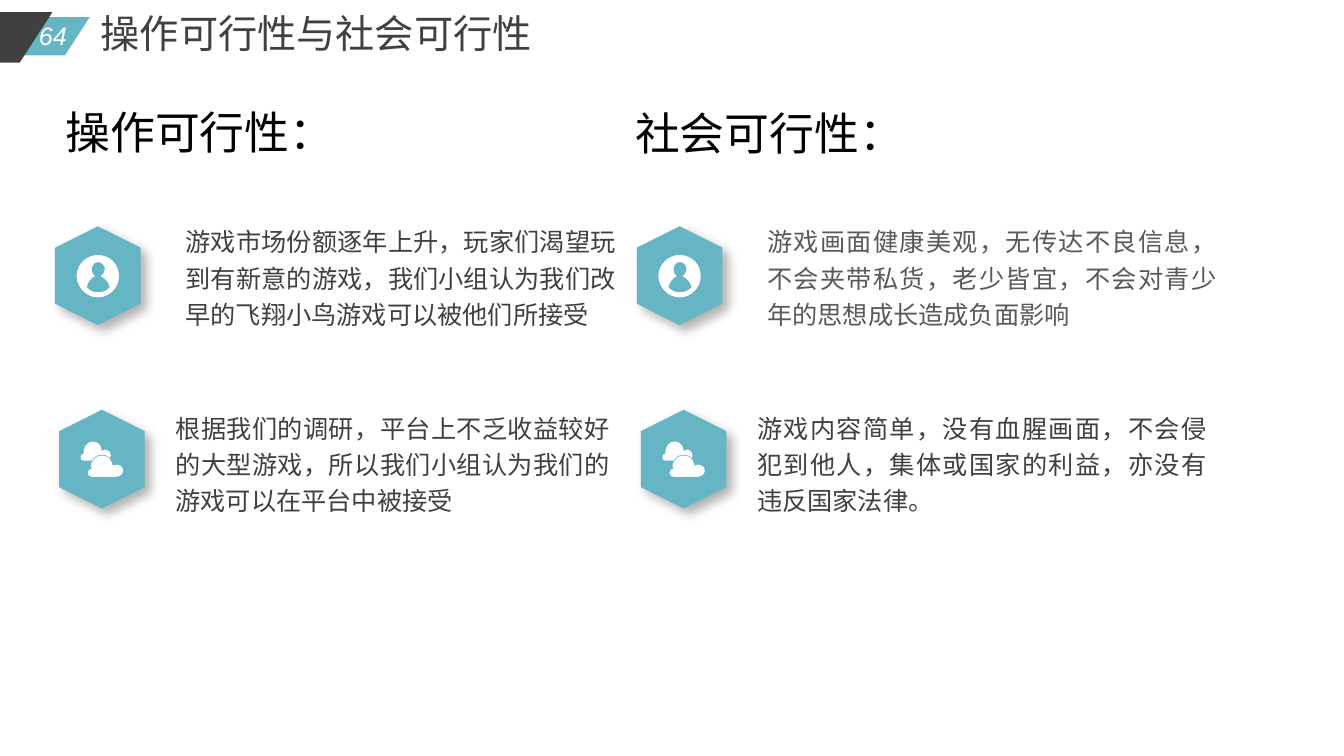
from lxml.etree import SubElement
from pptx import Presentation
from pptx.dml.color import RGBColor
from pptx.enum.shapes import MSO_SHAPE
from pptx.enum.text import MSO_ANCHOR, PP_ALIGN
from pptx.oxml import parse_xml
from pptx.oxml.ns import nsdecls, qn
from pptx.util import Inches, Pt

TEAL, DARK, GRAY, WHITE, BLACK = "66B5C4", "404040", "595959", "FFFFFF", "000000"
CJK = "Noto Sans CJK SC"

SHADOW = (
    f'<a:effectLst {nsdecls("a")}><a:outerShdw blurRad="101600" dist="76200" '
    'dir="2700000" algn="tl" rotWithShape="0"><a:srgbClr val="000000">'
    '<a:alpha val="30000"/></a:srgbClr></a:outerShdw></a:effectLst>'
)

PERSON = [
    [(21, 0), (10, 0, 0, 9, 0, 21), (0, 32, 10, 42, 21, 42),
     (33, 42, 42, 32, 42, 21), (42, 9, 33, 0, 21, 0)],
    [(32, 33), (29, 36, 25, 37, 21, 37), (17, 37, 14, 36, 11, 33),
     (10, 33, 10, 32, 10, 32), (11, 27, 14, 23, 18, 21), (16, 20, 15, 17, 15, 14),
     (15, 10, 18, 7, 21, 7), (25, 7, 28, 10, 28, 14), (28, 17, 26, 20, 24, 21),
     (28, 23, 32, 27, 33, 32), (33, 32, 33, 33, 32, 33)],
]
CLOUDS = [
    [(21, 14), (24, 14, 27, 15, 29, 17), (30, 19, 31, 21, 32, 24),
     (33, 23, 34, 23, 35, 23), (39, 23, 42, 25, 42, 29), (42, 32, 39, 35, 35, 35),
     (11, 35), (9, 35, 7, 33, 7, 31), (7, 29, 9, 27, 11, 27),
     (11, 26, 10, 25, 10, 24), (10, 22, 11, 21, 12, 19), (14, 16, 17, 14, 21, 14)],
    [(12, 0), (17, 0, 21, 4, 21, 10), (22, 9, 23, 8, 25, 8),
     (28, 8, 30, 11, 30, 14), (30, 15, 30, 15, 29, 16), (27, 14, 24, 13, 21, 13),
     (17, 13, 13, 15, 11, 19), (3, 19), (1, 19, 0, 18, 0, 16),
     (0, 14, 1, 12, 3, 12), (3, 12, 3, 11, 3, 10), (3, 5, 7, 0, 12, 0)],
]


def paint(sp, color):
    sp.shadow.inherit = False
    sp.fill.solid()
    sp.fill.fore_color.rgb = RGBColor.from_string(color)
    sp.line.fill.background()


def write(sp, text, size, color, font=CJK, wrap=True, align=PP_ALIGN.LEFT):
    tf = sp.text_frame
    tf.word_wrap = wrap
    tf.vertical_anchor = MSO_ANCHOR.TOP
    p = tf.paragraphs[0]
    p.alignment = align
    r = p.add_run()
    r.text = text
    r.font.size = Pt(size)
    r.font.color.rgb = RGBColor.from_string(color)
    r.font.name = font
    SubElement(r.font._element, qn("a:ea")).set("typeface", CJK)
    return p


prs = Presentation()
prs.slide_width, prs.slide_height = Inches(13.33), Inches(7.5)
s = prs.slides.add_slide(prs.slide_layouts[5])

title = s.shapes.title
title.left, title.top = Inches(0.9), Inches(0.04)
title.width, title.height = Inches(4.51), Inches(0.57)
write(title, "操作可行性与社会可行性", 28, DARK, wrap=False)

for x, y, w, h, color in [(-1.1, 0.17, 1.99, 0.38, TEAL), (-2.08, 0.12, 2.6, 0.5, DARK)]:
    sp = s.shapes.add_shape(MSO_SHAPE.PARALLELOGRAM, Inches(x), Inches(y), Inches(w), Inches(h))
    sp.adjustments[0] = 0.65
    sp.rotation = 180
    paint(sp, color)

number = s.shapes.add_textbox(Inches(0.27), Inches(0.15), Inches(0.51), Inches(0.4))
p = write(number, "64", 18, WHITE, "Arial", False, PP_ALIGN.CENTER)
p.runs[0].font.italic = True

columns = [
    (0, 0.55, 0.99, "操作可行性：", [
        ("游戏市场份额逐年上升，玩家们渴望玩到有新意的游戏，我们小组认为我们改早的飞翔小鸟游戏可以被他们所接受", DARK, 4.27),
        ("根据我们的调研，平台上不乏收益较好的大型游戏，所以我们小组认为我们的游戏可以在平台中被接受", DARK, 4.31)]),
    (5.77, 6.2, 1, "社会可行性：", [
        ("游戏画面健康美观，无传达不良信息，不会夹带私货，老少皆宜，不会对青少年的思想成长造成负面影响", GRAY, 4.46),
        ("游戏内容简单，没有血腥画面，不会侵犯到他人，集体或国家的利益，亦没有违反国家法律。", DARK, 4.46)]),
]
rows = [
    (0.48, 2.31, 0.76, 2.53, PERSON, 1.84, 2.19),
    (0.52, 4.13, 0.8, 4.38, CLOUDS, 1.74, 4.04),
]

for dx, head_x, head_y, heading, texts in columns:
    tb = s.shapes.add_textbox(Inches(head_x), Inches(head_y), Inches(3.71), Inches(0.64))
    write(tb, heading, 32, BLACK, "Arial")

    for (hex_x, hex_y, icon_x, icon_y, icon, text_x, text_y), (text, color, text_w) in zip(rows, texts):
        hexagon = s.shapes.add_shape(MSO_SHAPE.HEXAGON, Inches(hex_x + dx), Inches(hex_y),
                                     Inches(0.98), Inches(0.85))
        hexagon.rotation = 90
        paint(hexagon, TEAL)
        spPr = hexagon._element.spPr
        spPr.replace(spPr.find(qn("a:effectLst")), parse_xml(SHADOW))

        fb = s.shapes.build_freeform(*icon[0][0], scale=Inches(0.01))
        for i, (start, *segments) in enumerate(icon):
            if i:
                fb.move_to(*start)
            fb.add_line_segments([seg[-2:] for seg in segments], close=True)
        sp = fb.convert_to_shape(Inches(icon_x + dx), Inches(icon_y))
        paint(sp, WHITE)

        segments = [seg for contour in icon for seg in contour[1:]]
        for line, seg in zip(list(sp._element.iter(qn("a:lnTo"))), segments):
            if len(seg) == 6:
                line.tag = qn("a:cubicBezTo")
                line.remove(line[0])
                for x, y in zip(seg[::2], seg[1::2]):
                    pt = SubElement(line, qn("a:pt"))
                    pt.set("x", str(x))
                    pt.set("y", str(y))

        tb = s.shapes.add_textbox(Inches(text_x + dx), Inches(text_y), Inches(text_w), Inches(1.04))
        tf = tb.text_frame
        tf.margin_left = tf.margin_right = tf.margin_top = tf.margin_bottom = 0
        write(tb, text, 18, color, align=PP_ALIGN.JUSTIFY).line_spacing = 1.2

prs.save("out.pptx")
